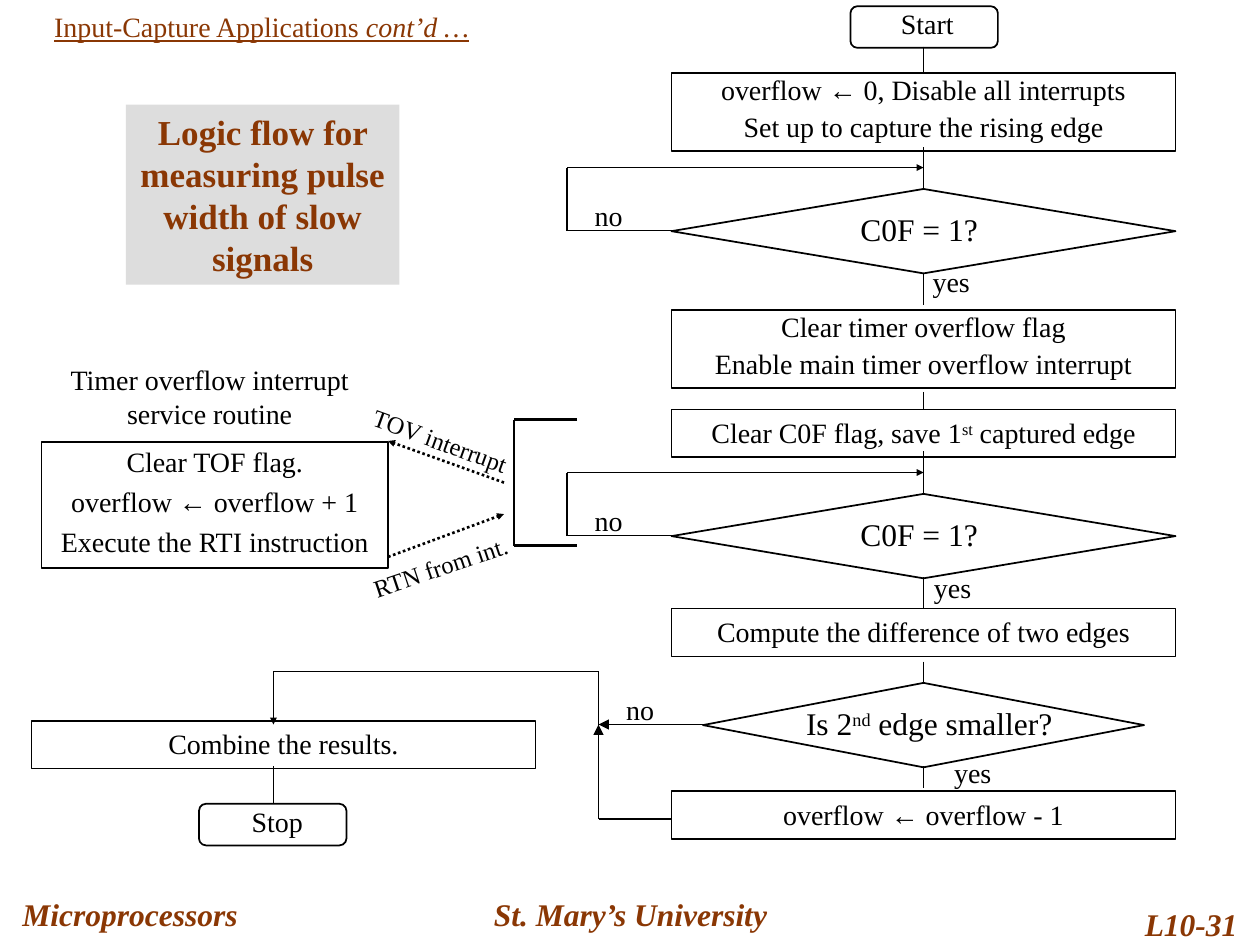
from lxml import etree
from pptx import Presentation
from pptx.dml.color import RGBColor
from pptx.enum.dml import MSO_LINE
from pptx.enum.shapes import MSO_CONNECTOR, MSO_SHAPE
from pptx.enum.text import MSO_ANCHOR, MSO_AUTO_SIZE, PP_ALIGN
from pptx.oxml.ns import qn
from pptx.util import Inches, Pt

BLACK = RGBColor(0x00, 0x00, 0x00)
BROWN = RGBColor(0x8A, 0x37, 0x04)
GRAY = RGBColor(0xDD, 0xDD, 0xDD)
FONT = "Times New Roman"
LEFT, CENTER, RIGHT = PP_ALIGN.LEFT, PP_ALIGN.CENTER, PP_ALIGN.RIGHT
TOP, MIDDLE = MSO_ANCHOR.TOP, MSO_ANCHOR.MIDDLE
RECTANGLE, ROUNDED, DIAMOND = MSO_SHAPE.RECTANGLE, MSO_SHAPE.ROUNDED_RECTANGLE, MSO_SHAPE.DIAMOND
STRAIGHT = MSO_CONNECTOR.STRAIGHT
DOTTED = MSO_LINE.ROUND_DOT

AXIS = 7.33  # centre of the main flow column
LOOP_X = 4.5
MERGE_X = 4.75
RESULT_X = 2.17

presentation = Presentation()
presentation.slide_width = Inches(10)
presentation.slide_height = Inches(7.5)
slide = presentation.slides.add_slide(presentation.slide_layouts[5])
shapes = slide.shapes


def write(shape, lines, size=16, color=BLACK, bold=False, italic=False,
          align=CENTER, anchor=TOP, spacing=1.0):
    """Fill a shape with lines of text; ^ marks enclose a superscript."""
    frame = shape.text_frame
    frame.word_wrap = True
    frame.auto_size = MSO_AUTO_SIZE.NONE
    frame.vertical_anchor = anchor
    for index, line in enumerate(lines):
        paragraph = frame.add_paragraph() if index else frame.paragraphs[0]
        paragraph.alignment = align
        paragraph.line_spacing = spacing
        if index:
            paragraph.space_before = Pt(5.5)
        for part, text in enumerate(line.split("^")):
            run = paragraph.add_run()
            run.text = text
            font = run.font
            font.name, font.size, font.color.rgb = FONT, Pt(size), color
            font.bold, font.italic = bold, italic
            if part % 2:
                run._r.get_or_add_rPr().set("baseline", "30000")


def connect(points, width=1, head=None, dash=None):
    """Draw straight lines through the points, with an arrowhead of size head at the end."""
    for start, end in zip(points, points[1:]):
        connector = shapes.add_connector(STRAIGHT, *(Inches(v) for v in start + end))
        connector.line.color.rgb = BLACK
        connector.line.width = Pt(width)
        if dash:
            connector.line.dash_style = dash
        if head and end == points[-1]:
            etree.SubElement(connector.line._get_or_add_ln(), qn("a:tailEnd"),
                             type="triangle", w=head, len=head)
        etree.SubElement(connector._element.spPr, qn("a:effectLst"))


# Title
title = shapes.title
title.left, title.top, title.width, title.height = (Inches(v) for v in (0.33, 0, 3.92, 0.42))
write(title, ["Input-Capture Applications "], color=BROWN, align=LEFT, anchor=MIDDLE)
continued = title.text_frame.paragraphs[0].add_run()
continued.text = "cont’d …"
continued.font.italic = True
for run in title.text_frame.paragraphs[0].runs:
    run.font.name, run.font.size, run.font.color.rgb = FONT, Pt(16), BROWN
    run.font.bold = False
    run.font.underline = True

# Footer
for left, top, width, text, align in [
    (0.08, 7, 2.42, "Microprocessors", LEFT),
    (3.42, 7, 3.17, "St. Mary’s University", CENTER),
    (8.67, 7.08, 1.25, "L10-31", RIGHT),
]:
    footer = shapes.add_textbox(Inches(left), Inches(top), Inches(width), Inches(0.5))
    write(footer, [text], 18, BROWN, bold=True, italic=True, align=align, anchor=MIDDLE)

# Flowchart outlines
for kind, left, top, width, height, lines, spacing in [
    (ROUNDED, 6.75, 0.05, 1.17, 0.33, [], 1),
    (RECTANGLE, 5.33, 0.58, 4, 0.62,
     ["overflow ← 0, Disable all interrupts", "Set up to capture the rising edge"], 0.8),
    (DIAMOND, 5.33, 1.5, 4, 0.67, [], 1),
    (RECTANGLE, 5.33, 2.46, 4, 0.62,
     ["Clear timer overflow flag", "Enable main timer overflow interrupt"], 0.8),
    (RECTANGLE, 5.33, 3.25, 4, 0.38, ["Clear C0F flag, save 1^st^ captured edge"], 1),
    (DIAMOND, 5.33, 3.92, 4, 0.67, [], 1),
    (RECTANGLE, 5.33, 4.83, 4, 0.38, ["Compute the difference of two edges"], 1),
    (DIAMOND, 5.58, 5.42, 3.5, 0.67, [], 1),
    (RECTANGLE, 5.33, 6.28, 4, 0.38, ["overflow ← overflow - 1"], 1),
    (RECTANGLE, 0.25, 5.72, 4, 0.38, ["Combine the results."], 1),
    (ROUNDED, 1.58, 6.38, 1.17, 0.33, [], 1),
    (RECTANGLE, 0.33, 3.51, 2.75, 1,
     ["Clear TOF flag.", "overflow ← overflow + 1", "Execute the RTI instruction"], 0.9),
]:
    box = shapes.add_shape(kind, Inches(left), Inches(top), Inches(width), Inches(height))
    box.shadow.inherit = False
    box.fill.background()
    box.line.color.rgb = BLACK
    box.line.width = Pt(1)
    write(box, lines, spacing=spacing)

# Labels: left, top, width, height, text, size, rotation
for left, top, width, height, text, size, rotation in [
    (6.83, 0, 1.06, 0.37, "Start", 16, 0),
    (1.67, 6.34, 1.06, 0.37, "Stop", 16, 0),
    (6.63, 1.62, 1.33, 0.4, "C0F = 1?", 18, 0),
    (6.63, 4.04, 1.33, 0.4, "C0F = 1?", 18, 0),
    (6.25, 5.54, 2.25, 0.4, "Is 2^nd^ edge smaller?", 18, 0),
    (7.26, 2.05, 0.58, 0.37, "yes", 16, 0),
    (7.27, 4.48, 0.58, 0.37, "yes", 16, 0),
    (7.43, 5.95, 0.58, 0.37, "yes", 16, 0),
    (4.58, 1.53, 0.5, 0.37, "no", 16, 0),
    (4.58, 3.95, 0.5, 0.37, "no", 16, 0),
    (4.83, 5.45, 0.5, 0.37, "no", 16, 0),
    (0.33, 2.83, 2.67, 0.64, "Timer overflow interrupt service routine", 16, 0),
    (2.83, 3.33, 1.33, 0.33, "TOV interrupt", 14, 19.9),
    (2.83, 4.33, 1.33, 0.33, "RTN from int.", 14, 341.4),
]:
    label = shapes.add_textbox(Inches(left), Inches(top), Inches(width), Inches(height))
    label.rotation = rotation
    write(label, [text], size)

# Steps down the main column
for start, end in [(0.37, 0.57), (1.17, 1.5), (2.17, 2.42), (3.11, 3.25), (3.58, 3.92),
                   (4.58, 4.83), (5.25, 5.42), (6.08, 6.25)]:
    connect([(AXIS, start), (AXIS, end)])

# Loops back to the capture tests
for test_y in (1.83, 4.25):
    connect([(5.33, test_y), (LOOP_X, test_y), (LOOP_X, test_y - 0.5), (AXIS, test_y - 0.5)],
            head="sm")

# Both branches of the last test lead to the results
connect([(5.58, 5.75), (MERGE_X, 5.75)], head="med")
connect([(5.33, 6.5), (MERGE_X, 6.5), (MERGE_X, 5.75)], head="med")
connect([(MERGE_X, 5.75), (MERGE_X, 5.33), (RESULT_X, 5.33), (RESULT_X, 5.75)], head="sm")
connect([(RESULT_X, 6.08), (RESULT_X, 6.38)])

# Bracket and paths of the overflow interrupt
connect([(4.58, 3.33), (4.08, 3.33), (4.08, 4.33), (4.58, 4.33)], width=1.5)
connect([(4, 3.83), (3.08, 3.5)], width=1.5, head="sm", dash=DOTTED)
connect([(3.08, 4.42), (4, 4.08)], width=1.5, head="sm", dash=DOTTED)

# Topic panel
panel = shapes.add_shape(RECTANGLE, Inches(1), Inches(0.83), Inches(2.17), Inches(1.43))
panel.shadow.inherit = False
panel.fill.solid()
panel.fill.fore_color.rgb = GRAY
panel.line.fill.background()
write(panel, ["Logic flow for measuring pulse width of slow signals"], 20, BROWN, bold=True)

presentation.save("out.pptx")
